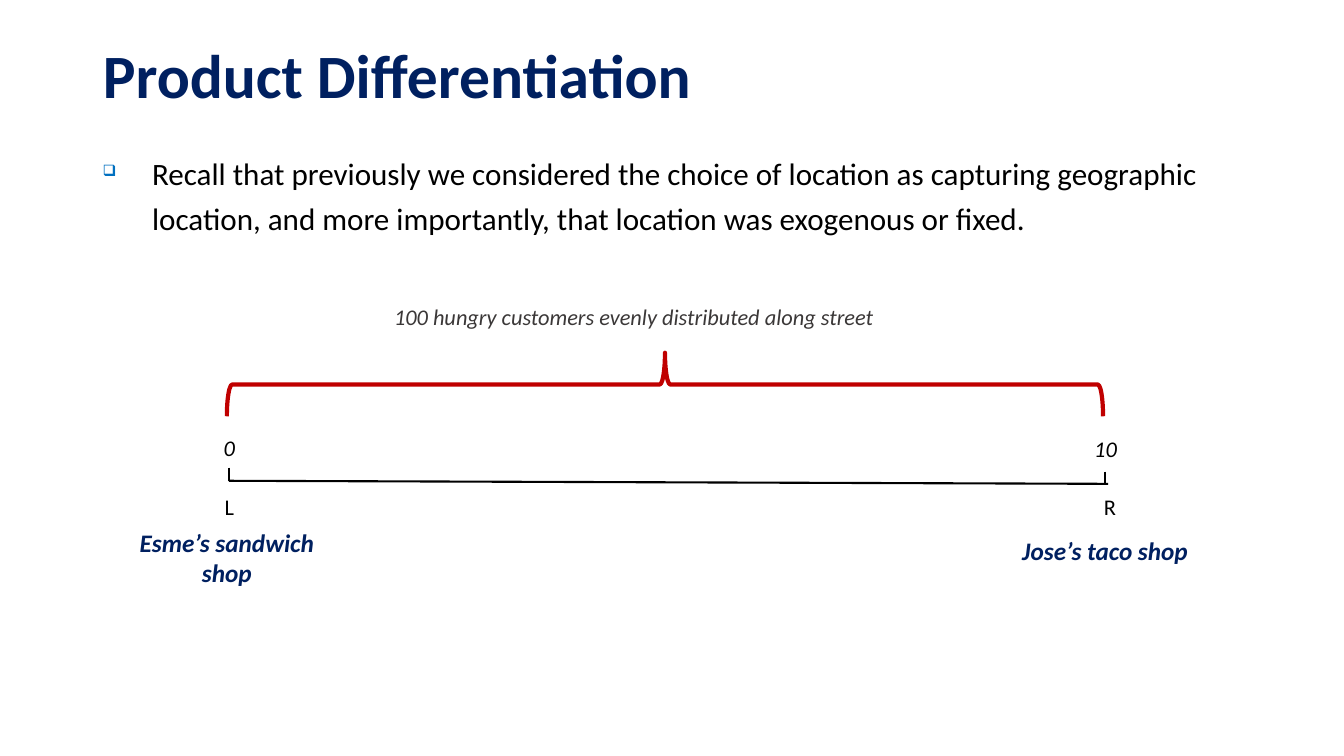
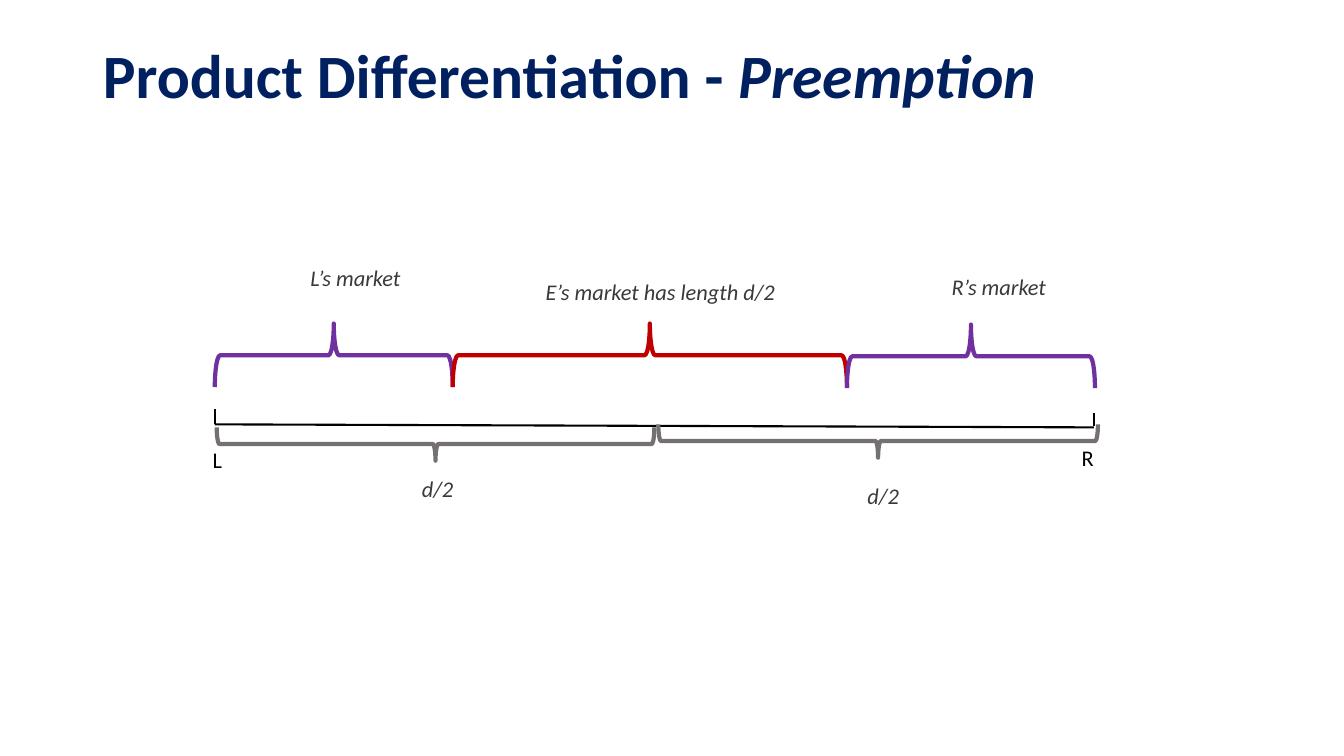
import pptx
import pptx.util
import pptx.dml.color
import pptx.enum.shapes
import pptx.enum.text
import pptx.oxml
import pptx.oxml.ns
from pptx.util import Inches

RGBColor = pptx.dml.color.RGBColor
NAVY = RGBColor(0x00, 0x20, 0x60)
BLUE = RGBColor(0x00, 0x70, 0xC0)
RED = RGBColor(0xC0, 0x00, 0x00)
PURPLE = RGBColor(0x70, 0x30, 0xA0)
GRAY = RGBColor(0x76, 0x71, 0x71)
CHARCOAL = RGBColor(0x3B, 0x38, 0x38)
BLACK = RGBColor(0, 0, 0)
FONT = "Calibri"
ALIGN = pptx.enum.text.PP_ALIGN
LABEL_HEIGHT = 0.37

# Text styles
END = dict(color=BLACK)
NUMBER = dict(color=BLACK, italic=True, align=ALIGN.CENTER)
NOTE = dict(color=CHARCOAL, italic=True)
CENTERED_NOTE = dict(NOTE, align=ALIGN.CENTER)
SHOP = dict(size=18, color=NAVY, bold=True, italic=True, align=ALIGN.CENTER)

# Content: labels are (text, left, top, width, style), lines are (x1, y1, x2, y2),
# braces are (left, right, top, depth, color, points_up)
SLIDES = [
    dict(
        title=[("Product Differentiation", False)],
        body="Recall that previously we considered the choice of location as capturing "
             "geographic location, and more importantly, that location was exogenous or fixed.",
        lines=[(2.27, 4.77, 10.99, 4.8), (2.27, 4.64, 2.27, 4.77), (10.96, 4.68, 10.96, 4.81)],
        braces=[(2.25, 10.94, 3.5, 0.63, RED, True)],
        labels=[
            ("100 hungry customers evenly distributed along street", 3.81, 2.96, 5.58, NOTE),
            ("0", 2.05, 4.26, 0.45, NUMBER),
            ("10", 10.74, 4.27, 0.45, NUMBER),
            ("L", 2.13, 4.84, 0.28, END),
            ("R", 10.85, 4.84, 0.43, END),
            ("Esme’s sandwich shop", 1.18, 5.18, 2.14, SHOP),
            ("Jose’s taco shop", 9.89, 5.26, 2.14, SHOP),
        ],
    ),
    dict(
        title=[("Product Differentiation - ", False), ("Preemption", True)],
        lines=[(2.13, 4.21, 10.85, 4.24), (2.13, 4.06, 2.13, 4.21), (10.85, 4.1, 10.85, 4.23)],
        braces=[
            (2.13, 4.49, 3.21, 0.63, PURPLE, True),
            (4.49, 8.4, 3.21, 0.63, RED, True),
            (8.4, 10.86, 3.22, 0.63, PURPLE, True),
            (2.15, 6.49, 4.24, 0.33, GRAY, False),
            (6.53, 10.89, 4.21, 0.33, GRAY, False),
        ],
        labels=[
            ("L’s market", 2.98, 2.57, 1.3, NOTE),
            ("E’s market has length d/2", 5.11, 2.71, 2.88, CENTERED_NOTE),
            ("R’s market", 9.34, 2.66, 1.3, NOTE),
            ("L", 2.01, 4.38, 0.28, END),
            ("R", 10.63, 4.36, 0.43, END),
            ("d/2", 2.13, 4.66, 4.42, CENTERED_NOTE),
            ("d/2", 6.55, 4.73, 4.42, CENTERED_NOTE),
        ],
    ),
]


def write_text(box, text, size=16, color=BLACK, bold=False, italic=False,
               align=ALIGN.LEFT, spacing=None):
    """Fill a box with one paragraph; text is a string or (string, italic) pairs."""
    frame = box.text_frame
    frame.word_wrap = True
    frame.auto_size = pptx.enum.text.MSO_AUTO_SIZE.NONE
    frame.vertical_anchor = pptx.enum.text.MSO_ANCHOR.TOP
    para = frame.paragraphs[0]
    para.alignment = align
    if spacing:
        para.line_spacing = spacing
    for words, slanted in [(text, italic)] if isinstance(text, str) else text:
        span = para.add_run()
        span.text = words
        font = span.font
        font.name, font.size = FONT, pptx.util.Pt(size)
        font.bold, font.italic = bold, slanted
        font.color.rgb = color
    return para


def add_bullet(para, indent):
    properties = para._p.get_or_add_pPr()
    properties.set("marL", str(Inches(indent)))
    properties.set("indent", str(-Inches(indent)))
    namespace = pptx.oxml.ns.nsdecls("a")
    for xml in (f'<a:buClr {namespace}><a:srgbClr val="{BLUE}"/></a:buClr>',
                f'<a:buSzPct {namespace} val="50000"/>',
                f'<a:buChar {namespace} char="❑"/>'):
        properties.append(pptx.oxml.parse_xml(xml))


def add_box(page, left, top, width, height):
    return page.shapes.add_textbox(*map(Inches, (left, top, width, height)))


def add_line(page, *ends):
    line = page.shapes.add_connector(pptx.enum.shapes.MSO_CONNECTOR.STRAIGHT,
                                     *map(Inches, ends))
    line.line.color.rgb = BLACK
    line.line.width = pptx.util.Pt(1.5)
    line._element.spPr.append(
        pptx.oxml.parse_xml(f'<a:effectLst {pptx.oxml.ns.nsdecls("a")}/>'))


def add_brace(page, left, right, top, depth, color, points_up):
    """Turn a left brace about its centre so that it spans left to right."""
    length = right - left
    brace = page.shapes.add_shape(
        pptx.enum.shapes.MSO_SHAPE.LEFT_BRACE,
        Inches((left + right - depth) / 2), Inches(top + (depth - length) / 2),
        Inches(depth), Inches(length))
    brace.rotation = 90 if points_up else 270
    brace.shadow.inherit = False
    brace.fill.background()
    brace.line.color.rgb = color
    brace.line.width = pptx.util.Pt(3)


def build_slide(deck, content):
    page = deck.slides.add_slide(deck.slide_layouts[5])

    # Title
    title = page.shapes.title
    title.left, title.top, title.width, title.height = map(Inches, (0.92, 0.4, 11.5, 1.45))
    write_text(title, content["title"], size=44, color=NAVY, bold=True, spacing=0.9)

    # Bulleted text
    if "body" in content:
        body = add_box(page, 0.92, 1.41, 11.5, 1.34)
        add_bullet(write_text(body, content["body"], size=22.2, spacing=1.2), 0.49)

    # Street diagram
    for ends in content["lines"]:
        add_line(page, *ends)
    for brace in content["braces"]:
        add_brace(page, *brace)
    for text, left, top, width, style in content["labels"]:
        write_text(add_box(page, left, top, width, LABEL_HEIGHT), text, **style)


def main():
    deck = pptx.Presentation()
    deck.slide_width, deck.slide_height = Inches(13.33), Inches(7.5)
    for content in SLIDES:
        build_slide(deck, content)
    deck.save("out.pptx")


if __name__ == "__main__":
    main()
